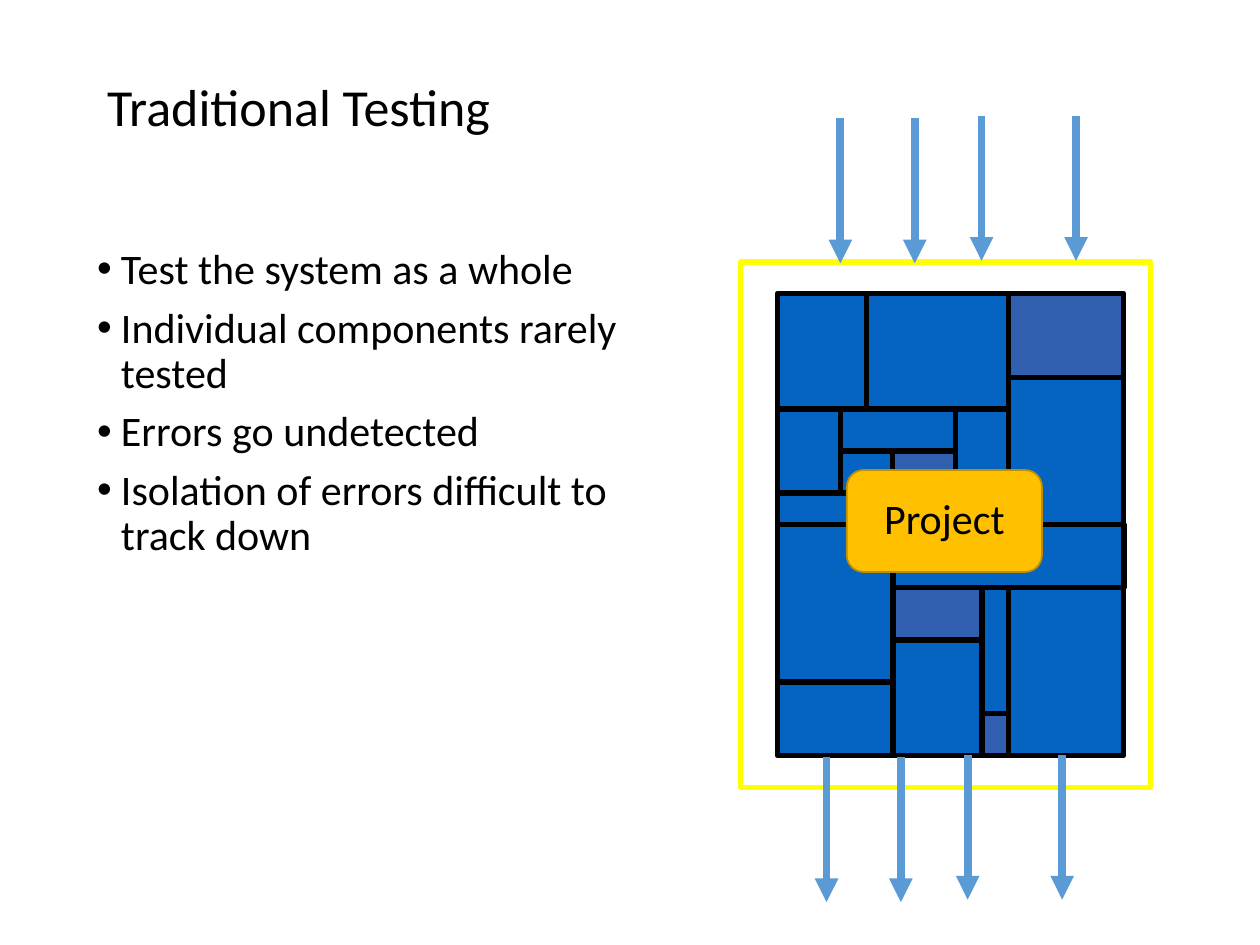
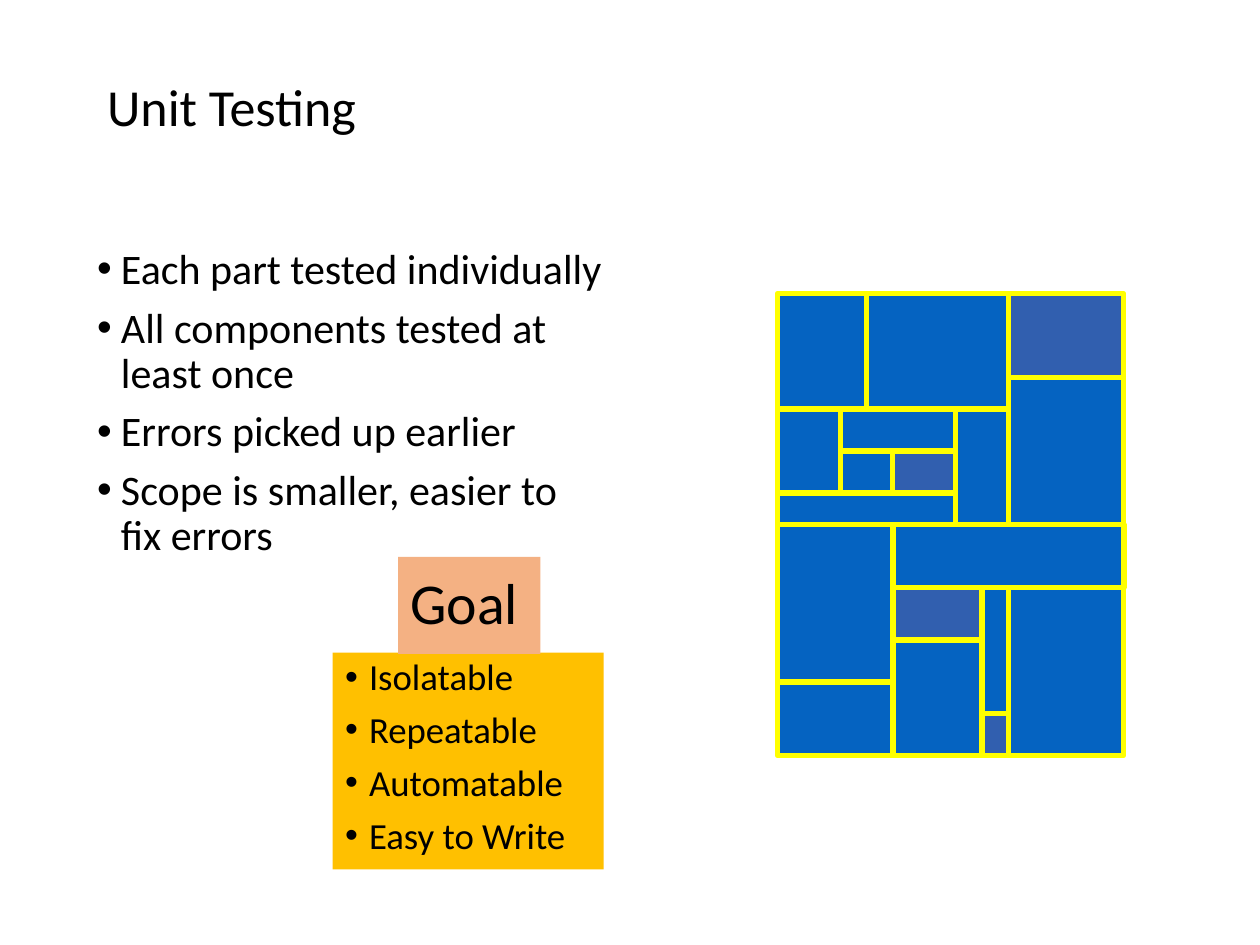
from dataclasses import dataclass

from lxml.etree import SubElement
from pptx import Presentation
from pptx.dml.color import RGBColor
from pptx.enum.shapes import MSO_CONNECTOR, MSO_SHAPE
from pptx.enum.text import MSO_ANCHOR, MSO_AUTO_SIZE, PP_ALIGN
from pptx.oxml.ns import qn
from pptx.util import Inches, Pt

# Content
TRADITIONAL = {
    "title": "Traditional Testing",
    "points": ["Test the system as a whole", "Individual components rarely tested",
               "Errors go undetected", "Isolation of errors difficult to track down"],
    "body_width": 4.46,
}
UNIT = {
    "title": "Unit Testing",
    "points": ["Each part tested individually", "All components tested at least once",
               "Errors picked up earlier", "Scope is smaller, easier to fix errors"],
    "body_width": 4.21,
}
PROJECT_LABEL = "Project"
GOAL_LABEL = "Goal"
GOALS = ["Isolatable", "Repeatable", "Automatable", "Easy to Write"]

# Components of the project: left, top, width, height in grid steps
COMPONENTS = [
    (0, 22, 12, 16), (34, 22, 10, 22), (0, 0, 17, 22), (17, 0, 27, 22),
    (44, 16, 22, 28), (0, 44, 22, 30), (22, 44, 44, 12), (0, 74, 22, 14),
    (44, 56, 22, 32), (12, 22, 22, 8), (0, 38, 34, 6), (12, 30, 10, 8),
    (22, 66, 17, 22), (39, 56, 5, 24),
]
SHADED_COMPONENTS = [(22, 30, 12, 8), (22, 56, 17, 10), (39, 80, 5, 8), (44, 0, 22, 16)]
GRID_STEP = 1 / 24
GRID_LEFT, GRID_TOP = 6.17, 2.33

# Arrow starts: x, y; the outputs repeat the inputs further down
ARROWS = [(6.67, 0.94), (7.26, 0.94), (7.79, 0.92), (8.54, 0.92)]
ARROW_LENGTH = 1.15
INPUT_SHIFT, OUTPUT_SHIFT = (0, 0), (-0.11, 5.07)


@dataclass(frozen=True)
class Theme:
    font: str = "Calibri"
    text: str = "000000"
    background: str = "FFFFFF"
    component: str = "0563C1"
    shaded: str = "315FAF"
    untested: str = "000000"
    tested: str = "FFFF00"
    arrow: str = "5B9BD5"
    label: str = "FFC000"
    label_edge: str = "BD8E00"
    goal: str = "F4B183"
    title_size: float = 29.7
    body_size: float = 24
    list_size: float = 21
    goal_size: float = 33
    edge: float = 3
    arrow_width: float = 4.5


THEME = Theme()


def color(value):
    return RGBColor.from_string(value)


# Text
def write(shape, lines, size, anchor=MSO_ANCHOR.MIDDLE, align=PP_ALIGN.LEFT, bullets=False):
    frame = shape.text_frame
    frame.word_wrap = True
    frame.auto_size = MSO_AUTO_SIZE.NONE
    frame.vertical_anchor = anchor
    for index, line in enumerate(lines):
        paragraph = frame.add_paragraph() if index else frame.paragraphs[0]
        paragraph.alignment = align
        paragraph.line_spacing = 0.9
        paragraph.space_before = Pt(7.5 if bullets else 0)
        if bullets:
            add_bullet(paragraph)
        run = paragraph.add_run()
        run.text = line
        run.font.name = THEME.font
        run.font.size = Pt(size)
        run.font.color.rgb = color(THEME.text)


def add_bullet(paragraph):
    properties = paragraph._p.get_or_add_pPr()
    properties.set("marL", str(Inches(0.19)))
    properties.set("indent", str(Inches(-0.19)))
    SubElement(properties, qn("a:buFont"), typeface="Arial")
    SubElement(properties, qn("a:buChar"), char="•")


# Shapes
def place(shape, left, top, width, height):
    shape.left, shape.top = Inches(left), Inches(top)
    shape.width, shape.height = Inches(width), Inches(height)


def add_box(shapes, bounds, fill=None, edge=None, edge_width=THEME.edge, kind=MSO_SHAPE.RECTANGLE):
    box = shapes.add_shape(kind, *map(Inches, bounds))
    box.shadow.inherit = False
    if fill:
        box.fill.solid()
        box.fill.fore_color.rgb = color(fill)
    else:
        box.fill.background()
    if edge:
        box.line.color.rgb = color(edge)
        box.line.width = Pt(edge_width)
    else:
        box.line.fill.background()
    return box


def add_components(shapes, edge):
    for cells, fill in ((COMPONENTS, THEME.component), (SHADED_COMPONENTS, THEME.shaded)):
        for left, top, width, height in cells:
            bounds = (GRID_LEFT + left * GRID_STEP, GRID_TOP + top * GRID_STEP,
                      width * GRID_STEP, height * GRID_STEP)
            add_box(shapes, bounds, fill, edge)


def add_arrows(slide, shift):
    group = slide.shapes.add_group_shape()
    for start_x, start_y in ARROWS:
        x, y = start_x + shift[0], start_y + shift[1]
        arrow = group.shapes.add_connector(
            MSO_CONNECTOR.STRAIGHT, Inches(x), Inches(y), Inches(x), Inches(y + ARROW_LENGTH))
        arrow.line.color.rgb = color(THEME.arrow)
        arrow.line.width = Pt(THEME.arrow_width)
        SubElement(arrow.line._get_or_add_ln(), qn("a:tailEnd"), type="triangle")
        SubElement(arrow._element.spPr, qn("a:effectLst"))


# Slides
def add_text_slide(presentation, content):
    slide = presentation.slides.add_slide(presentation.slide_layouts[1])
    slide.background.fill.solid()
    slide.background.fill.fore_color.rgb = color(THEME.background)
    title, body = slide.shapes.title, slide.placeholders[1]
    place(title, 0.75, 0.58, 8.17, 0.58)
    write(title, [content["title"]], THEME.title_size)
    place(body, 0.67, 1.92, content["body_width"], 4.46)
    write(body, content["points"], THEME.body_size, MSO_ANCHOR.TOP, bullets=True)
    return slide


def build_traditional(presentation):
    slide = add_text_slide(presentation, TRADITIONAL)
    system = slide.shapes.add_group_shape()
    add_box(system.shapes, (5.88, 2.08, 3.25, 4.17), edge=THEME.tested)
    add_components(system.shapes, THEME.untested)
    for shift in (INPUT_SHIFT, OUTPUT_SHIFT):
        add_arrows(slide, shift)
    label = add_box(slide.shapes, (6.72, 3.73, 1.55, 0.81), THEME.label,
                    THEME.label_edge, 1, MSO_SHAPE.ROUNDED_RECTANGLE)
    write(label, [PROJECT_LABEL], THEME.body_size, align=PP_ALIGN.CENTER)


def build_unit(presentation):
    slide = add_text_slide(presentation, UNIT)
    add_components(slide.shapes, THEME.tested)
    goal_group = slide.shapes.add_group_shape()
    goal_list = add_box(goal_group.shapes, (2.64, 5.18, 2.15, 1.72), THEME.label)
    write(goal_list, GOALS, THEME.list_size, MSO_ANCHOR.TOP, bullets=True)
    goal = add_box(goal_group.shapes, (3.16, 4.42, 1.13, 0.77), THEME.goal)
    write(goal, [GOAL_LABEL], THEME.goal_size)


def main():
    presentation = Presentation()
    presentation.slide_width, presentation.slide_height = Inches(10), Inches(7.5)
    build_traditional(presentation)
    build_unit(presentation)
    presentation.save("out.pptx")


if __name__ == "__main__":
    main()
